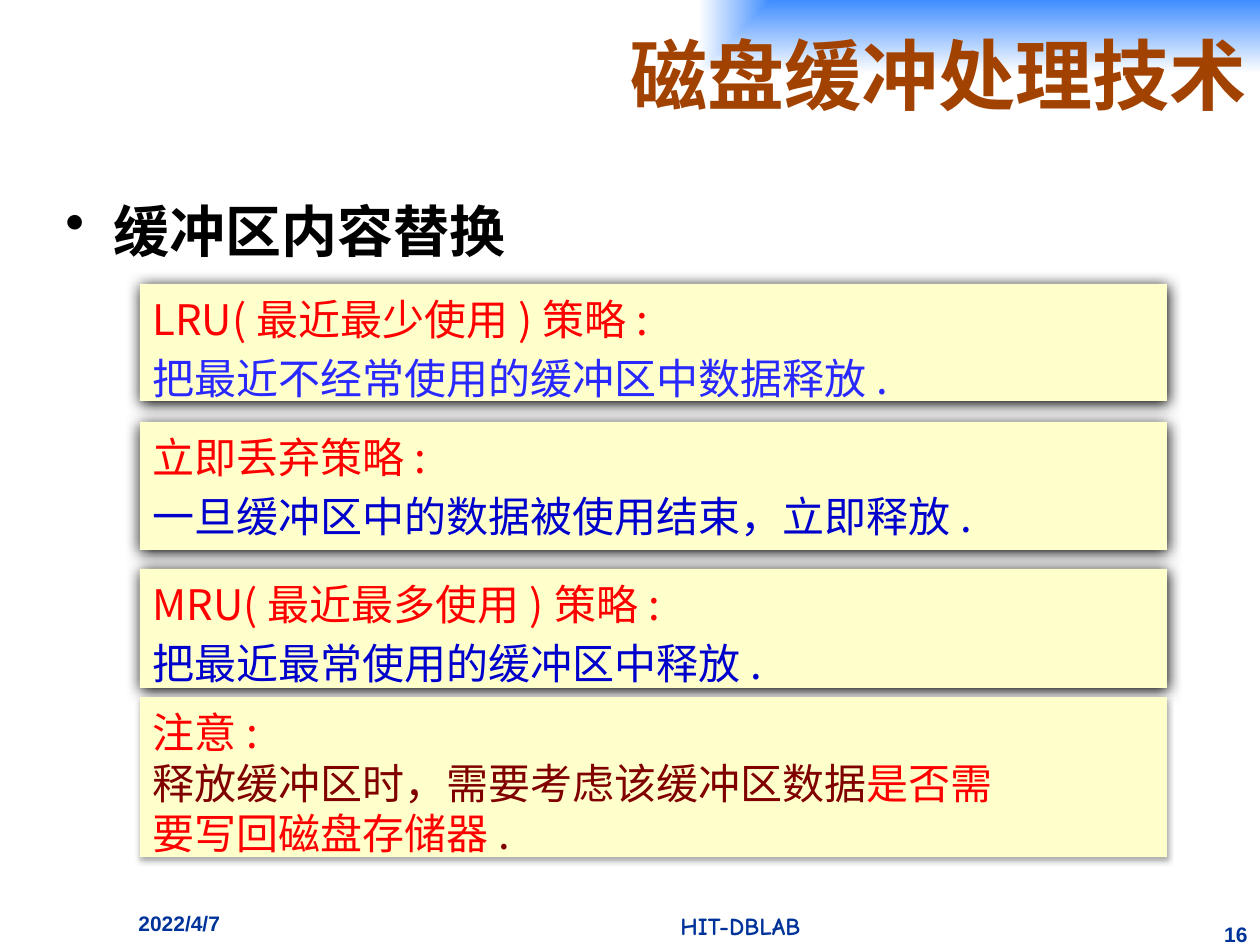
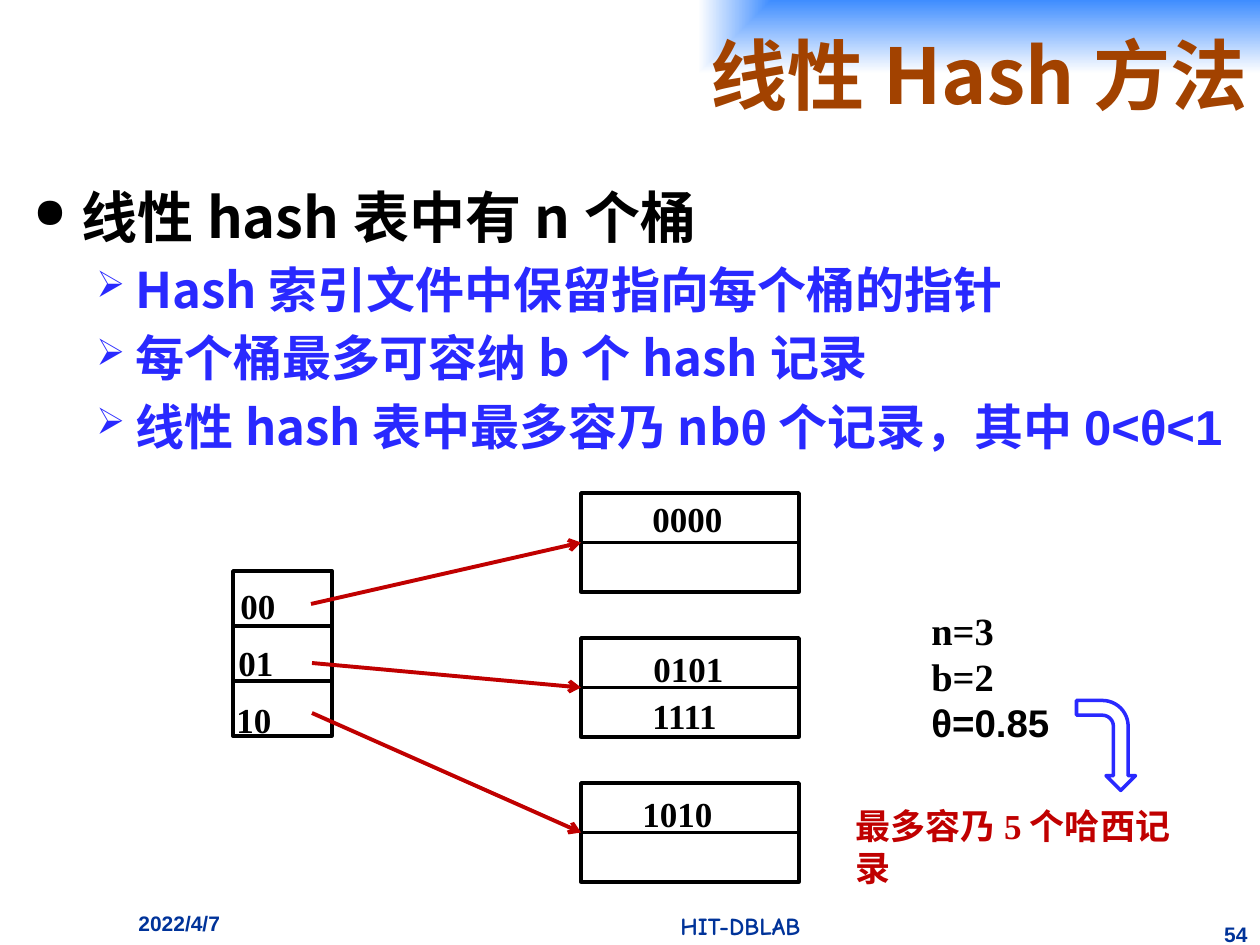
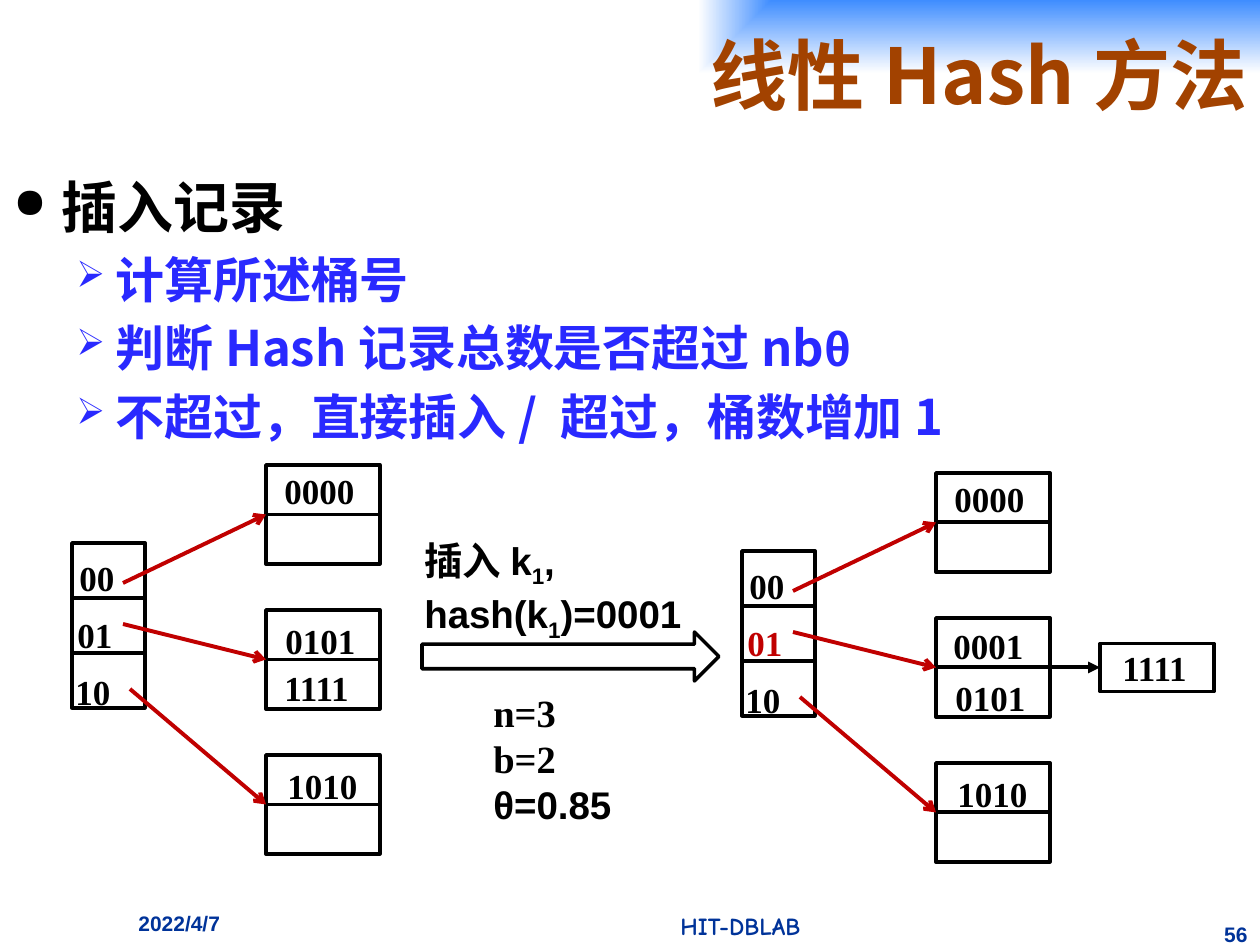
from lxml import etree
from pptx import Presentation
from pptx import util as u
from pptx.dml.color import RGBColor
from pptx.enum import shapes, text
from pptx.oxml import ns

SCALE = 914400 / 126
COLORS = {
    "title": "A24200", "band": "3F8DFF", "white": "FFFFFF", "black": "000000",
    "footer": "003399", "card": "FFFFCC", "red": "FF0000", "blue": "2929FF",
    "navy": "0000CC", "maroon": "800000", "crimson": "C00000",
}
HAN = "Noto Sans CJK JP"
TITLE_FONT = "Noto Sans CJK SC"
SERIF = "Times New Roman"
SANS = "Arial"
INSET = 6


def px(n):
    return u.Emu(round(n * SCALE))


def rgb(name):
    return RGBColor.from_string(COLORS[name])


def add_xml(parent, tag, **attrs):
    el = etree.SubElement(parent, ns.qn(tag))
    for key, value in attrs.items():
        el.set(key, str(value))
    return el


def style_run(r, size, font, color, bold, sub=False):
    r.font.size = u.Pt(size)
    r.font.bold = bold
    r.font.color.rgb = rgb(color)
    r.font.name = font
    rpr = r.font._element
    add_xml(rpr, "a:ea", typeface=HAN if font in (SERIF, SANS) else font)
    if sub:
        rpr.set("baseline", "-25000")


def write(tf, paras, size, font, color, bold=True, gap=0, pitch=1.2, drop=0.09,
          align=text.PP_ALIGN.LEFT):
    tf.word_wrap = True
    tf.vertical_anchor = text.MSO_ANCHOR.TOP
    tf.margin_top = px(INSET + drop * size * 1.75)
    for i, runs in enumerate(paras):
        p = tf.paragraphs[0] if i == 0 else tf.add_paragraph()
        p.alignment = align
        base = dict(size=size, font=font, color=color, bold=bold)
        p_size = runs[0][1].get("size", size)
        p.line_spacing = u.Pt(round(p_size * pitch, 1))
        if i and gap:
            p.space_before = u.Pt(round(p_size * gap, 1))
        for content, changes in runs:
            r = p.add_run()
            r.text = content
            style_run(r, **{**base, **changes})


def add_text(s, x, y, w, h, paras, size, font, color, **options):
    tf = s.shapes.add_textbox(px(x), px(y), px(w), px(h)).text_frame
    write(tf, paras, size, font, color, **options)
    return tf


def plain(*lines):
    return [[(line, {})] for line in lines]


def add_outline(s, kind, x, y, w, h, color="black", rotation=0):
    sp = s.shapes.add_shape(kind, px(x), px(y), px(w), px(h))
    sp.shadow.inherit = False
    sp.fill.background()
    sp.line.color.rgb = rgb(color)
    sp.line.width = u.Pt(2)
    sp.rotation = rotation
    return sp


def add_line(s, x1, y1, x2, y2, color="black", tail=None):
    c = s.shapes.add_connector(shapes.MSO_CONNECTOR.STRAIGHT, px(x1), px(y1), px(x2), px(y2))
    c.line.color.rgb = rgb(color)
    c.line.width = u.Pt(2.25)
    if tail:
        add_xml(c.line._get_or_add_ln(), "a:tailEnd", type=tail)
    add_xml(c._element.spPr, "a:effectLst")
    return c


def add_title(s, title):
    sp = s.shapes.title
    sp.left, sp.top, sp.width, sp.height = px(136), px(0), px(1124), px(147)
    fill = add_xml(sp._element.spPr, "a:gradFill", rotWithShape=1)
    stops = add_xml(fill, "a:gsLst")
    for pos, name in ((0, "band"), (100000, "white")):
        add_xml(add_xml(stops, "a:gs", pos=pos), "a:srgbClr", val=COLORS[name])
    path = add_xml(fill, "a:path")
    path.set("path", "rect")
    add_xml(path, "a:fillToRect", l=100000, b=100000)
    tf = sp.text_frame
    tf.auto_size = text.MSO_AUTO_SIZE.NONE
    tf.vertical_anchor = text.MSO_ANCHOR.MIDDLE
    tf.text = title
    p = tf.paragraphs[0]
    p.alignment = text.PP_ALIGN.RIGHT
    style_run(p.runs[0], 44, TITLE_FONT, "title", True)


def add_footer(s, number):
    add_text(s, 126, 903, 221, 42, plain("2022/4/7"), 12, SANS, "footer")
    add_text(s, 441, 903, 599, 42, plain("HIT-DBLAB"), 14, "Comic Neue", "footer",
             align=text.PP_ALIGN.CENTER)
    add_text(s, 1207, 914, 53, 31, plain(str(number)), 12, SANS, "footer",
             align=text.PP_ALIGN.RIGHT)


def new_slide(prs, title, number):
    s = prs.slides.add_slide(prs.slide_layouts[5])
    add_title(s, title)
    add_footer(s, number)
    return s


def set_bullet(p, char, margin, indent, color, percent):
    ppr = p._p.get_or_add_pPr()
    ppr.set("marL", str(px(margin)))
    ppr.set("indent", str(px(indent)))
    add_xml(add_xml(ppr, "a:buClr"), "a:srgbClr", val=COLORS[color])
    add_xml(ppr, "a:buSzPct", val=percent * 1000)
    add_xml(ppr, "a:buChar", char=char)


def add_body(s, x, y, w, h, heading, items=(), mark="●", percent=75):
    sub = dict(size=28, color="blue")
    paras = plain(heading) + [[(t, {**sub, **c}) for t, c in item] for item in items]
    tf = add_text(s, x, y, w, h, paras, 32, HAN, "black", gap=0.2)
    first, *rest = tf.paragraphs
    set_bullet(first, mark, 48, -48, "black", percent)
    for p in rest:
        set_bullet(p, "➢", 102, -39, "blue", 75)


def add_card(s, y, h, paras, gap=0.2, shadow=(100, 8.5, 1)):
    sp = s.shapes.add_shape(shapes.MSO_SHAPE.RECTANGLE, px(140), px(y), px(1027), px(h))
    sp.fill.solid()
    sp.fill.fore_color.rgb = rgb("card")
    sp.line.fill.background()
    sp.shadow.inherit = False
    alpha, blur, dist = shadow
    effects = sp._element.spPr.find(ns.qn("a:effectLst"))
    outer = add_xml(effects, "a:outerShdw", blurRad=u.Pt(blur), dist=u.Pt(dist),
                    dir=5400000, algn="ctr", rotWithShape=0)
    clr = add_xml(outer, "a:srgbClr", val=COLORS["black"])
    add_xml(clr, "a:alpha", val=alpha * 1000)
    write(sp.text_frame, paras, 24, HAN, "red", bold=False, gap=gap)


def add_hash_figure(s, x, y, dir_w, bucket_dx, bucket_w, starts, entries,
                    hot=None, overflow=None):
    rect = shapes.MSO_SHAPE.RECTANGLE
    dir_y, dir_h, row_h = y + 78, 165, 55
    bucket_x, bucket_h, pitch = x + bucket_dx, 99, 145
    add_outline(s, rect, x, dir_y, dir_w, dir_h)
    for i in (1, 2):
        add_line(s, x, dir_y + i * row_h, x + dir_w, dir_y + i * row_h)
    for i, (label, (dx, dy)) in enumerate(zip(("00", "01", "10"), starts)):
        top = y + i * pitch
        bucket = add_outline(s, rect, bucket_x, top, bucket_w, bucket_h)
        divider_end, site = bucket, 3
        if overflow and i == 1:
            gap, w, h, value = overflow
            left, over_y = bucket_x + bucket_w + gap, top + (bucket_h - h) / 2
            divider_end, site = add_outline(s, rect, left, over_y, w, h), 1
            add_text(s, left + 10, over_y - 6, 105, 55, plain(value), 20, SERIF, "black")
        middle = top + bucket_h / 2
        divider = add_line(s, bucket_x, middle, bucket_x + bucket_w, middle,
                           tail="triangle" if site == 1 else None)
        divider.begin_connect(bucket, 1)
        divider.end_connect(divider_end, site)
        add_text(s, x - 5 - 2 * i, dir_y + 4 + 57 * i, 66, 55, plain(label), 20, SERIF,
                 "crimson" if label == hot else "black")
        pointer = add_line(s, x + dx, dir_y + dy, bucket_x, middle, "crimson", "arrow")
        pointer.end_connect(bucket, 1)
    for i, dx, dy, value in entries:
        add_text(s, bucket_x + dx, y + i * pitch + dy, 105, 55, plain(value), 20,
                 SERIF, "black")


def add_parameters(s, x, y):
    paras = plain("n=3", "b=2") + [[("θ=0.85", {"font": SANS})]]
    add_text(s, x, y, 150, 152, paras, 22, SERIF, "black", drop=0.05)


def build_replacement(prs):
    s = new_slide(prs, "磁盘缓冲处理技术", 16)
    add_body(s, 53, 185, 1134, 73, "缓冲区内容替换", mark="•", percent=100)
    cards = (
        (284, 117, "LRU(最近最少使用)策略:", "把最近不经常使用的缓冲区中数据释放.", "blue"),
        (422, 128, "立即丢弃策略:", "一旦缓冲区中的数据被使用结束，立即释放.", "navy"),
        (569, 119, "MRU(最近最多使用)策略:", "把最近最常使用的缓冲区中释放.", "navy"),
    )
    for y, h, name, rule, color in cards:
        add_card(s, y, h, [[(name, {})], [(rule, {"color": color})]])
    dark = {"color": "maroon"}
    note = [[("注意:", {})],
            [("释放缓冲区时，需要考虑该缓冲区数据", dark), ("是否需", {})],
            [("要写回磁盘存储器", {}), (".", dark)]]
    add_card(s, 697, 160, note, gap=0, shadow=(32, 3.5, 2.2))


def build_linear_hash(prs):
    s = new_slide(prs, "线性Hash方法", 54)
    add_body(s, 21, 171, 1226, 624, "线性hash表中有n个桶", [
        [("Hash索引文件中保留指向每个桶的指针", {})],
        [("每个桶最多可容纳b个hash记录", {})],
        [("线性hash表中最多容乃nb", {}), ("θ个记录，其中0<θ<1", {"font": SANS})],
    ])
    add_hash_figure(s, 233, 493, 99, 348, 218, ((78, 33), (79, 92), (79, 142)), (
        (0, 59, -5, "0000"), (1, 60, 0, "0101"), (1, 59, 47, "1111"), (2, 49, 0, "1010")))
    add_parameters(s, 919, 599)
    add_text(s, 843, 795, 359, 100, plain("最多容乃5个哈西记录"), 20, SERIF, "crimson")
    add_outline(s, shapes.MSO_SHAPE.BENT_ARROW, 1061, 716, 90, 59, "blue", 90)


def build_insertion(prs):
    s = new_slide(prs, "线性Hash方法", 56)
    add_body(s, 1, 161, 1251, 316, "插入记录", [
        [("计算所述桶号", {})],
        [("判断Hash记录总数是否超过nb", {}), ("θ", {"font": SANS})],
        [("不超过，直接插入/ 超过，桶数增加1", {})],
    ])
    starts = ((51, 40), (51, 81), (58, 146))
    add_hash_figure(s, 72, 465, 73, 194, 114, starts, (
        (0, 6, -5, "0000"), (1, 7, 0, "0101"), (1, 6, 47, "1111"), (2, 9, 0, "1010")))
    sub = {"sub": True}
    add_text(s, 412, 533, 365, 106, [[
        ("插入k", {}), ("1", sub), (", hash(k", {}), ("1", sub), (")=0001", {})]],
        22, SANS, "black", pitch=1.4, drop=-0.1)
    add_outline(s, shapes.MSO_SHAPE.DOWN_ARROW, 546, 508, 49, 297, rotation=270)
    add_parameters(s, 481, 681)
    add_hash_figure(s, 742, 473, 73, 194, 114, starts, (
        (0, 6, -5, "0000"), (1, 5, -3, "0001"), (1, 7, 49, "0101"), (2, 9, 0, "1010")),
        hot="01", overflow=(50, 114, 48, "1111"))


def main():
    prs = Presentation()
    prs.slide_width, prs.slide_height = px(1260), px(945)
    build_replacement(prs)
    build_linear_hash(prs)
    build_insertion(prs)
    prs.save("out.pptx")


if __name__ == "__main__":
    main()
